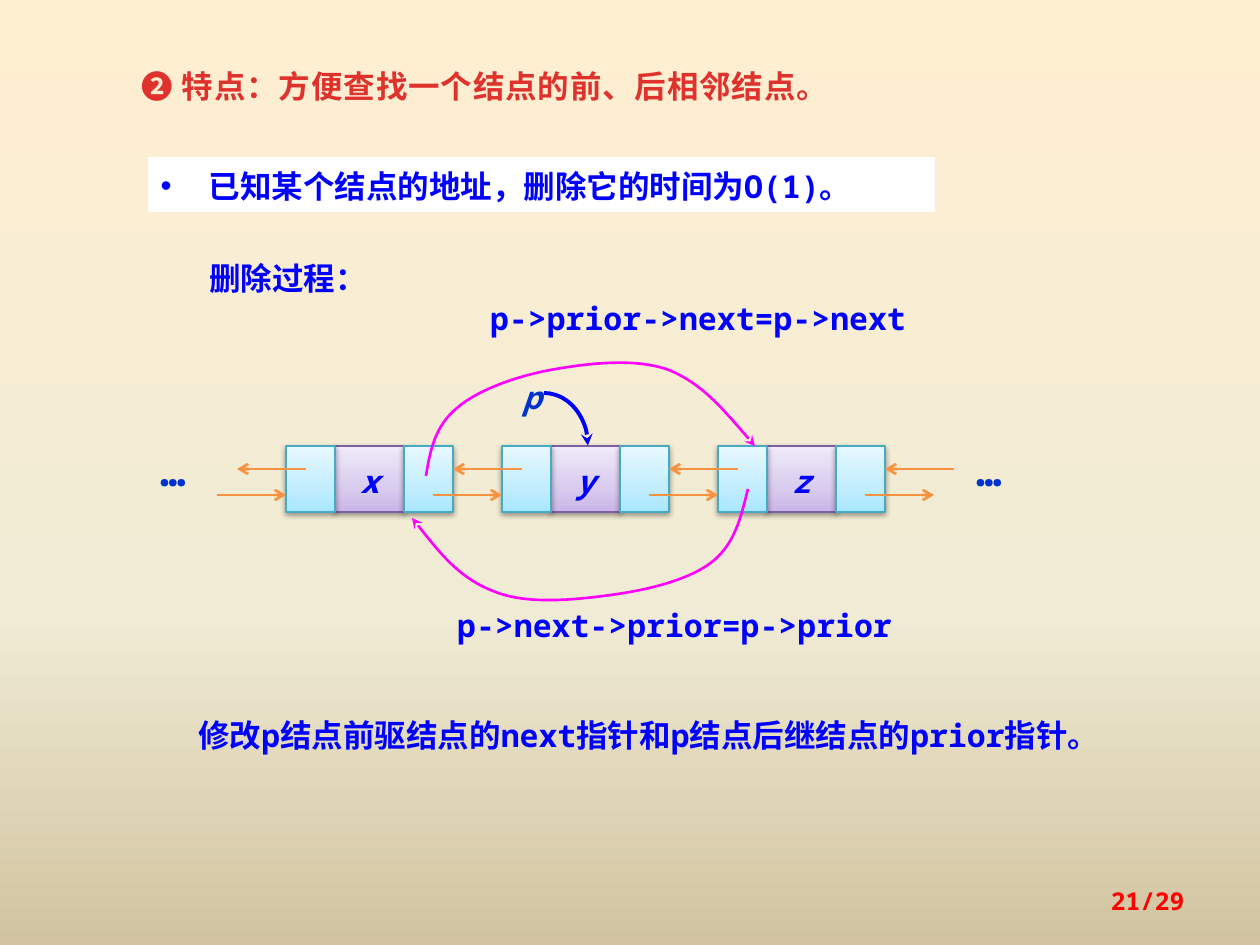
from copy import deepcopy

from lxml.etree import SubElement
from pptx import Presentation
from pptx.dml.color import RGBColor
from pptx.enum.shapes import MSO_CONNECTOR, MSO_SHAPE
from pptx.enum.text import MSO_ANCHOR, MSO_AUTO_SIZE, PP_ALIGN
from pptx.oxml import parse_xml
from pptx.oxml.ns import qn
from pptx.util import Pt

PX = 914400 / 126
FACE = "Noto Sans Mono"
RED = RGBColor(0xE0, 0x32, 0x2D)
PAGE_RED = RGBColor(0xFF, 0x00, 0x00)
BLUE = RGBColor(0x00, 0x00, 0xFF)
NAVY = RGBColor(0x00, 0x33, 0xCC)
WHITE = RGBColor(0xFF, 0xFF, 0xFF)
PINK = RGBColor(0xFF, 0x00, 0xFF)
ORANGE = RGBColor(0xF6, 0x92, 0x40)
VIOLET = RGBColor(0x7D, 0x60, 0xA0)
TEAL = RGBColor(0x46, 0xAA, 0xC5)
SAND = [(0, RGBColor(0xFF, 0xEF, 0xD1)), (65, RGBColor(0xF0, 0xEB, 0xD5)), (100, RGBColor(0xD1, 0xC3, 0x9F))]
LILAC = [(0, RGBColor(0xC9, 0xB5, 0xE8)), (35, RGBColor(0xD8, 0xCB, 0xEE)), (100, RGBColor(0xF0, 0xEA, 0xF9))]
SKY = [(0, RGBColor(0xA7, 0xE6, 0xFF)), (35, RGBColor(0xC1, 0xED, 0xFF)), (100, RGBColor(0xE7, 0xF8, 0xFF))]
LEFT, MID, RIGHT = PP_ALIGN.LEFT, PP_ALIGN.CENTER, PP_ALIGN.RIGHT
SHADE = parse_xml(
    '<a:outerShdw xmlns:a="http://schemas.openxmlformats.org/drawingml/2006/main" '
    'blurRad="40000" dist="20000" dir="5400000" rotWithShape="0">'
    '<a:srgbClr val="000000"><a:alpha val="38000"/></a:srgbClr></a:outerShdw>'
)


def blend(fill, node, stops, angle):
    fill.gradient()
    fill.gradient_angle = angle
    group = next(node.iter(qn("a:gsLst")))
    for old in list(group):
        group.remove(old)
    for place, color in stops:
        stop = SubElement(group, qn("a:gs"), pos=str(place * 1000))
        SubElement(stop, qn("a:srgbClr"), val=str(color))


def write(shape, text, color, align=LEFT, anchor=MSO_ANCHOR.TOP, space=1.1, **more):
    frame = shape.text_frame
    look = {"word_wrap": True, "auto_size": MSO_AUTO_SIZE.NONE, "vertical_anchor": anchor}
    for key, value in look.items():
        setattr(frame, key, value)
    para = frame.paragraphs[0]
    look = {"alignment": align, "line_spacing": space, "space_before": Pt(0)}
    for key, value in look.items():
        setattr(para, key, value)
    run = para.add_run()
    run.text = text
    look = {"name": FACE, "size": Pt(18), "bold": True} | more
    for key, value in look.items():
        setattr(run.font, key, value)
    run.font.color.rgb = color
    return para


deck = Presentation()
deck.slide_width, deck.slide_height = round(1260 * PX), round(945 * PX)
slide = deck.slides.add_slide(deck.slide_layouts[1])
shapes = slide.shapes
back = slide.background.fill
blend(back, slide.element, SAND, 270)

title, body = slide.placeholders
for shape, box in ((title, (129, 57, 886, 52)), (body, (148, 157, 787, 55))):
    for key, value in zip(("left", "top", "width", "height"), box):
        setattr(shape, key, round(value * PX))
head = write(title, "❷ 特点：方便查找一个结点的前、后相邻结点。", RED)
head.runs[0].font._element.set("spc", "50")
body.fill.solid()
body.fill.fore_color.rgb = WHITE
item = write(body, "已知某个结点的地址，删除它的时间为O(1)。", BLUE)
inset = round(48 * PX)
item._p.get_or_add_pPr().set("marL", str(inset))
item._p.get_or_add_pPr().set("indent", str(-inset))

for start, name in zip((286, 502, 718), "xyz"):
    for left, width, stops, edge, label in (
        (start + 49, 69, LILAC, VIOLET, name),
        (start + 118, 49, SKY, TEAL, ""),
        (start, 49, SKY, TEAL, ""),
    ):
        cell = shapes.add_shape(MSO_SHAPE.RECTANGLE, *(round(v * PX) for v in (left, 446, width, 66)))
        blend(cell.fill, cell.element, stops, 90)
        cell.line.color.rgb = edge
        cell.line.width = Pt(0.75)
        cell.shadow.inherit = False
        next(cell.element.iter(qn("a:effectLst"))).append(deepcopy(SHADE))
        if label:
            write(cell, label, BLUE, MID, MSO_ANCHOR.MIDDLE, italic=True)

strokes = []
for step in range(4):
    shift = step * 216
    for start, end, y in ((217, 286, 495), (306, 237, 469)):
        ends = (round(v * PX) for v in (start + shift, y, end + shift, y))
        link = shapes.add_connector(MSO_CONNECTOR.STRAIGHT, *ends)
        SubElement(link.element.spPr, qn("a:effectLst"))
        strokes.append((link, ORANGE, 1.5, "arrow"))

arc = shapes.add_shape(MSO_SHAPE.ARC, *(round(v * PX) for v in (500, 393, 88, 105)))
strokes.append((arc, BLUE, 2.25, "stealth"))

for first, *rest in (
    [(426, 476), (430, 451), (435, 426), (457, 408), (479, 389), (520, 375), (556, 369),
     (591, 363), (636, 358), (669, 370), (703, 384), (728, 415), (755, 446)],
    [(748, 489), (741, 517), (735, 544), (712, 562), (689, 580), (648, 590), (611, 595),
     (575, 600), (525, 605), (493, 591), (459, 578), (436, 548), (412, 518)],
):
    pen = shapes.build_freeform(*first, scale=PX)
    pen.add_line_segments(rest, close=False)
    curve = pen.convert_to_shape()
    lines = list(curve.element.iter(qn("a:lnTo")))
    track = lines[0].getparent()
    for i in range(0, len(lines), 3):
        bend = SubElement(track, qn("a:cubicBezTo"))
        for line in lines[i:i + 3]:
            bend.append(line[0])
            track.remove(line)
    strokes.append((curve, PINK, 1.5, "stealth"))

for shape, color, width, tip in strokes:
    shape.line.color.rgb = color
    shape.line.width = Pt(width)
    SubElement(shape.line._get_or_add_ln(), qn("a:tailEnd"), type=tip)
    if tip == "stealth":
        shape.fill.background()
        shape.shadow.inherit = False

for box, text, color, look in (
    ((197, 249, 237, 54), "删除过程：", BLUE, {}),
    ((945, 433, 88, 69), "…", NAVY, {"align": MID, "size": Pt(24)}),
    ((129, 433, 88, 69), "…", NAVY, {"align": MID, "size": Pt(24)}),
    ((499, 368, 66, 52), "p", NAVY, {"align": MID, "italic": True}),
    ((472, 289, 452, 54), "p->prior->next=p->next", BLUE, {"align": MID}),
    ((433, 596, 483, 54), "p->next->prior=p->prior", BLUE, {"align": MID}),
    ((186, 706, 980, 96), "修改p结点前驱结点的next指针和p结点后继结点的prior指针。", BLUE, {}),
    ((903, 876, 294, 50), "21/29", PAGE_RED,
     {"align": RIGHT, "anchor": MSO_ANCHOR.MIDDLE, "space": 1, "size": Pt(14)}),
):
    note = shapes.add_textbox(*(round(v * PX) for v in box))
    write(note, text, color, **look)

deck.save("out.pptx")
